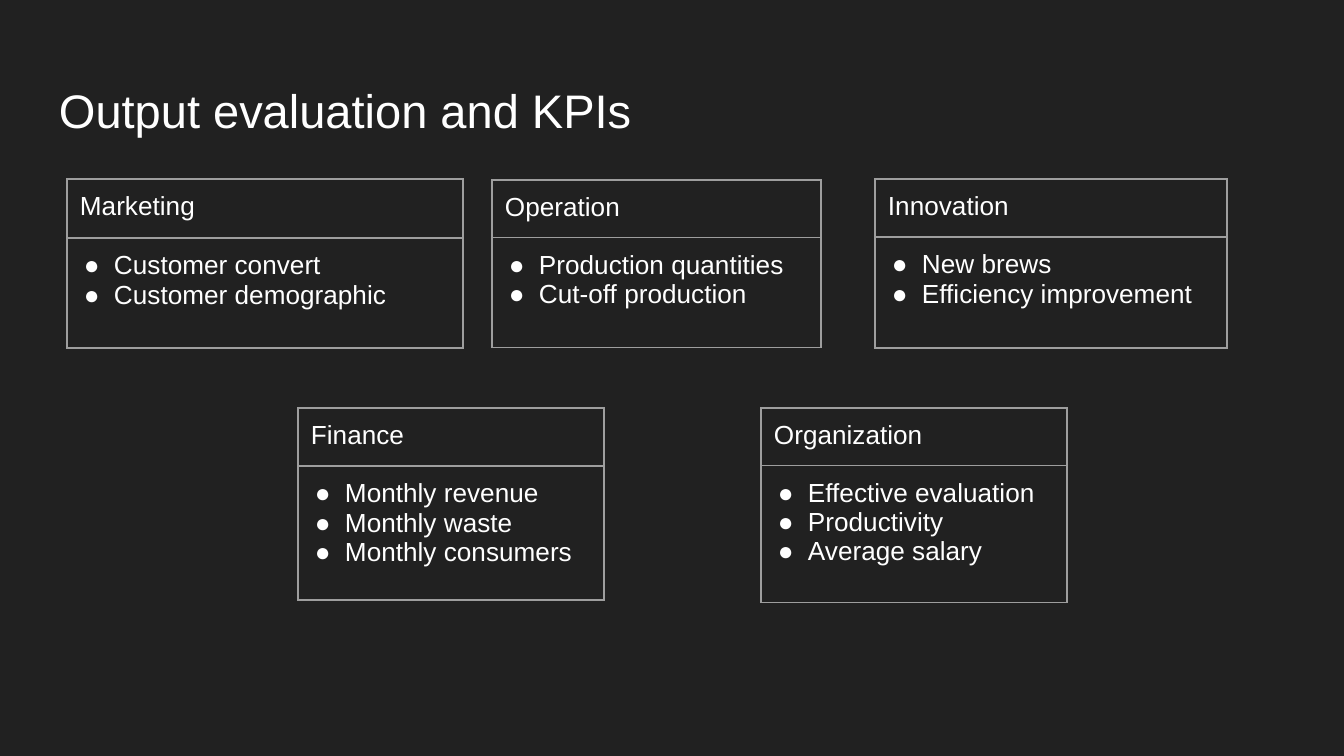
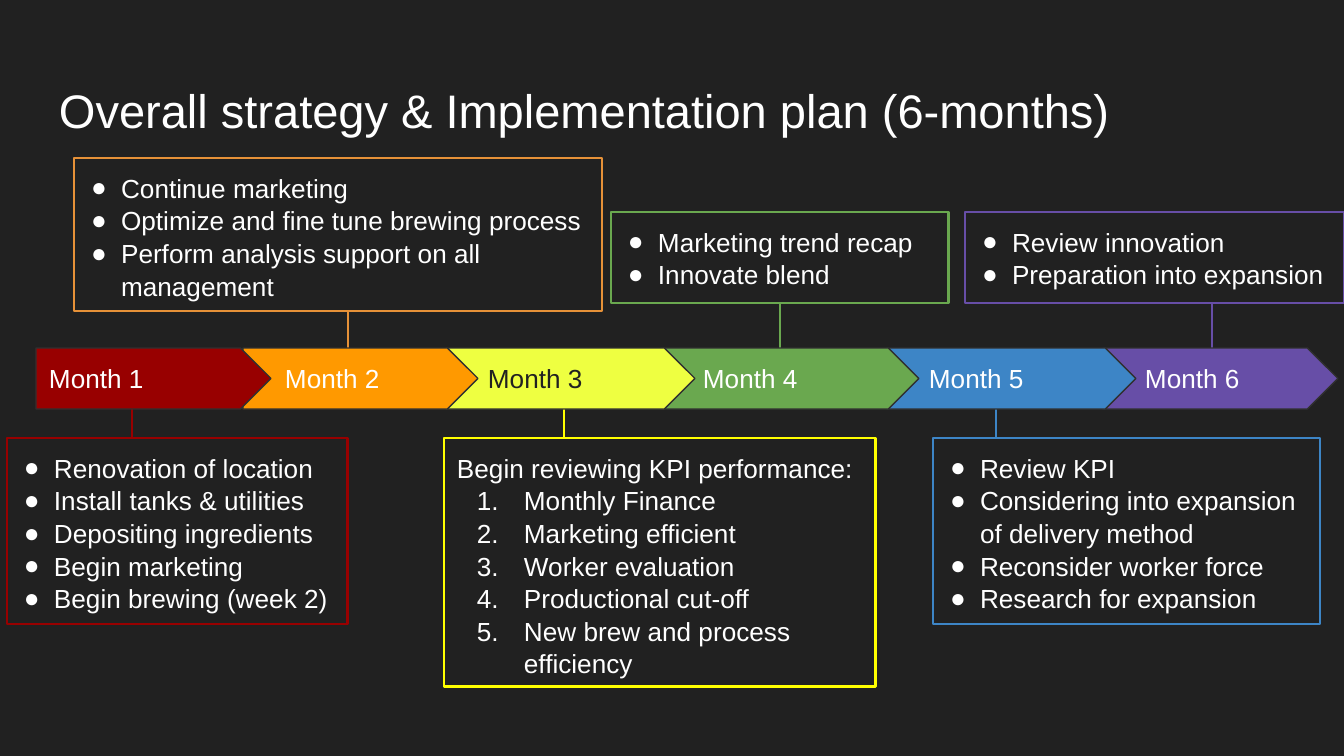
from lxml import etree
from pptx import Presentation
from pptx.dml.color import RGBColor
from pptx.enum.shapes import MSO_CONNECTOR, MSO_SHAPE
from pptx.enum.text import MSO_ANCHOR, MSO_AUTO_SIZE
from pptx.oxml.ns import qn
from pptx.util import Pt

SCALE = 9144000 / 1344
RECT, PLATE = MSO_SHAPE.RECTANGLE, MSO_SHAPE.PENTAGON
STRAIGHT = MSO_CONNECTOR.STRAIGHT
TOP, MIDDLE, BOTTOM = MSO_ANCHOR.TOP, MSO_ANCHOR.MIDDLE, MSO_ANCHOR.BOTTOM
GROW = MSO_AUTO_SIZE.SHAPE_TO_FIT_TEXT

FONT = "Arial"
DARK, WHITE, BORDER, PLATE_EDGE = "212121", "FFFFFF", "9E9E9E", "303030"
TITLE_BOX = (46, 66, 1252, 85)
TITLE_SIZE, BODY_SIZE = 25.2, 14
INSET = 13
BULLET_INDENT, NUMBER_INDENT = (34, -30), (67, -47)

# left, top, width, heading height, list height, heading, items
KPI_TABLES = [
    (67, 179, 396, 59, 110, "Marketing", ["Customer convert", "Customer demographic"]),
    (492, 180, 329, 56, 110, "Operation", ["Production quantities", "Cut-off production"]),
    (875, 179, 352, 58, 111, "Innovation", ["New brews", "Efficiency improvement"]),
    (298, 408, 306, 58, 134, "Finance",
     ["Monthly revenue", "Monthly waste", "Monthly consumers"]),
    (761, 408, 306, 56, 137, "Organization",
     ["Effective evaluation", "Productivity", "Average salary"]),
]

BAND_TOP, BAND_HEIGHT = 348, 61
FIRST_STEM, STEM_STEP = 132, 216
# plate left, plate width, plate fill, text colour, box line, box, intro, items
MONTHS = [
    (36, 235, "980000", WHITE, "980000", (7, 438, 341, 186), None,
     ["Renovation of location", "Install tanks & utilities", "Depositing ingredients",
      "Begin marketing", "Begin brewing (week 2)"]),
    (243, 235, "FF9900", WHITE, "E69138", (74, 158, 528, 153), None,
     ["Continue marketing", "Optimize and fine tune brewing process",
      "Perform analysis support on all management"]),
    (446, 249, "EEFF41", DARK, "FFFF00", (444, 438, 432, 249),
     "Begin reviewing KPI performance:",
     ["Monthly Finance", "Marketing efficient", "Worker evaluation",
      "Productional cut-off", "New brew and process efficiency"]),
    (661, 258, "6AA84F", WHITE, "6AA84F", (611, 212, 338, 91), None,
     ["Marketing trend recap", "Innovate blend"]),
    (887, 249, "3D85C6", WHITE, "3D85C6", (933, 438, 387, 186), None,
     ["Review KPI", "Considering into expansion of delivery method",
      "Reconsider worker force", "Research for expansion"]),
    (1103, 235, "674EA7", WHITE, "674EA7", (965, 212, 379, 91), None,
     ["Review innovation", "Preparation into expansion"]),
]


def px(n):
    return round(n * SCALE)


def box_emu(box):
    return [px(n) for n in box]


def rgb(value):
    return RGBColor.from_string(value)


def add_child(parent, tag, **attrs):
    return etree.SubElement(parent, qn(tag), attrs)


def set_insets(frame, left=INSET):
    """Set the margins of a text frame or a table cell."""
    frame.margin_left = px(left)
    frame.margin_top = frame.margin_right = frame.margin_bottom = px(INSET)


def add_text(tf, text, size=BODY_SIZE, color=WHITE, spacing=None):
    """Fill the first paragraph while it is empty, then append new ones."""
    p = tf.paragraphs[-1]
    if p.runs:
        p = tf.add_paragraph()
    if spacing:
        p.line_spacing = spacing
    r = p.add_run()
    r.text = text
    r.font.name = FONT
    r.font.size = Pt(size)
    r.font.color.rgb = rgb(color)
    return p


def add_list(tf, items, numbered=False, spacing=None):
    margin, indent = NUMBER_INDENT if numbered else BULLET_INDENT
    for item in items:
        pPr = add_text(tf, item, spacing=spacing)._p.get_or_add_pPr()
        pPr.set("marL", str(px(margin)))
        pPr.set("indent", str(px(indent)))
        add_child(add_child(pPr, "a:buClr"), "a:srgbClr", val=WHITE)
        add_child(pPr, "a:buFont", typeface=FONT)
        if numbered:
            add_child(pPr, "a:buAutoNum", type="arabicPeriod")
        else:
            add_child(pPr, "a:buChar", char="●")


def add_titled_slide(prs, title):
    s = prs.slides.add_slide(prs.slide_layouts[6])
    s.background.fill.solid()
    s.background.fill.fore_color.rgb = rgb(DARK)
    tf = s.shapes.add_textbox(*box_emu(TITLE_BOX)).text_frame
    tf.word_wrap = True
    tf.vertical_anchor = BOTTOM
    set_insets(tf)
    add_text(tf, title, TITLE_SIZE)
    return s


def style_cell(cell):
    """Give a cell thin borders, no fill and even margins."""
    tcPr = cell._tc.get_or_add_tcPr()
    for side in ("a:lnL", "a:lnR", "a:lnT", "a:lnB"):
        ln = add_child(tcPr, side, w=str(Pt(0.75)))
        add_child(add_child(ln, "a:solidFill"), "a:srgbClr", val=BORDER)
    cell.fill.background()
    set_insets(cell)


def add_kpi_table(s, left, top, width, head_height, list_height, heading, items):
    box = (left, top, width, head_height + list_height)
    table = s.shapes.add_table(2, 1, *box_emu(box)).table
    table.first_row = table.horz_banding = False
    for row, height in zip(table.rows, (head_height, list_height)):
        row.height = px(height)
        style_cell(row.cells[0])
    add_text(table.cell(0, 0).text_frame, heading)
    add_list(table.cell(1, 0).text_frame, items)


def add_outlined(s, kind, box, line, width, anchor, left_inset=INSET):
    """Add an unfilled shape with the given outline, ready for text."""
    sp = s.shapes.add_shape(kind, *box_emu(box))
    sp.shadow.inherit = False
    sp.fill.background()
    sp.line.color.rgb = rgb(line)
    sp.line.width = Pt(width)
    tf = sp.text_frame
    tf.word_wrap = True
    tf.vertical_anchor = anchor
    set_insets(tf, left_inset)
    return sp


def left_align(tf):
    for p in tf.paragraphs:
        p._p.get_or_add_pPr().set("algn", "l")


def add_task_box(s, box, line, intro, items):
    sp = add_outlined(s, RECT, box, line, 1.5, TOP)
    tf = sp.text_frame
    tf.auto_size = GROW
    if intro:
        add_text(tf, intro, spacing=1.04)
    add_list(tf, items, numbered=bool(intro), spacing=1.04)
    left_align(tf)
    return sp


def add_stem(s, x, box, task_box, color):
    """Join the month band to the near edge of a task box at x."""
    left, top, width, height = box
    below = top > BAND_TOP
    start = BAND_TOP + BAND_HEIGHT if below else BAND_TOP
    end = top if below else top + height
    stem = s.shapes.add_connector(STRAIGHT, px(x), px(start), px(x), px(end))
    if left + width / 2 == x:
        stem.end_connect(task_box, 0 if below else 2)
    stem.line.color.rgb = rgb(color)
    stem.line.width = Pt(1.5)
    add_child(stem._element.spPr, "a:effectLst")


def add_month_plate(s, number, left, width, fill, color):
    # Later plates start under the point of the one before.
    left_inset = INSET if number == 1 else INSET + 29
    box = (left, BAND_TOP, width, BAND_HEIGHT)
    sp = add_outlined(s, PLATE, box, PLATE_EDGE, 0.75, MIDDLE, left_inset)
    sp.fill.solid()
    sp.fill.fore_color.rgb = rgb(fill)
    add_text(sp.text_frame, f"Month {number}", color=color)
    left_align(sp.text_frame)


def add_kpi_slide(prs):
    s = add_titled_slide(prs, "Output evaluation and KPIs")
    for kpi in KPI_TABLES:
        add_kpi_table(s, *kpi)


def add_plan_slide(prs):
    s = add_titled_slide(prs, "Overall strategy & Implementation plan (6-months)")
    for i, (*_, line, box, intro, items) in enumerate(MONTHS):
        task_box = add_task_box(s, box, line, intro, items)
        add_stem(s, FIRST_STEM + i * STEM_STEP, box, task_box, line)
    for number in range(len(MONTHS), 0, -1):
        add_month_plate(s, number, *MONTHS[number - 1][:4])


def main():
    prs = Presentation()
    prs.slide_width, prs.slide_height = px(1344), px(756)
    add_kpi_slide(prs)
    add_plan_slide(prs)
    prs.save("out.pptx")


if __name__ == "__main__":
    main()
